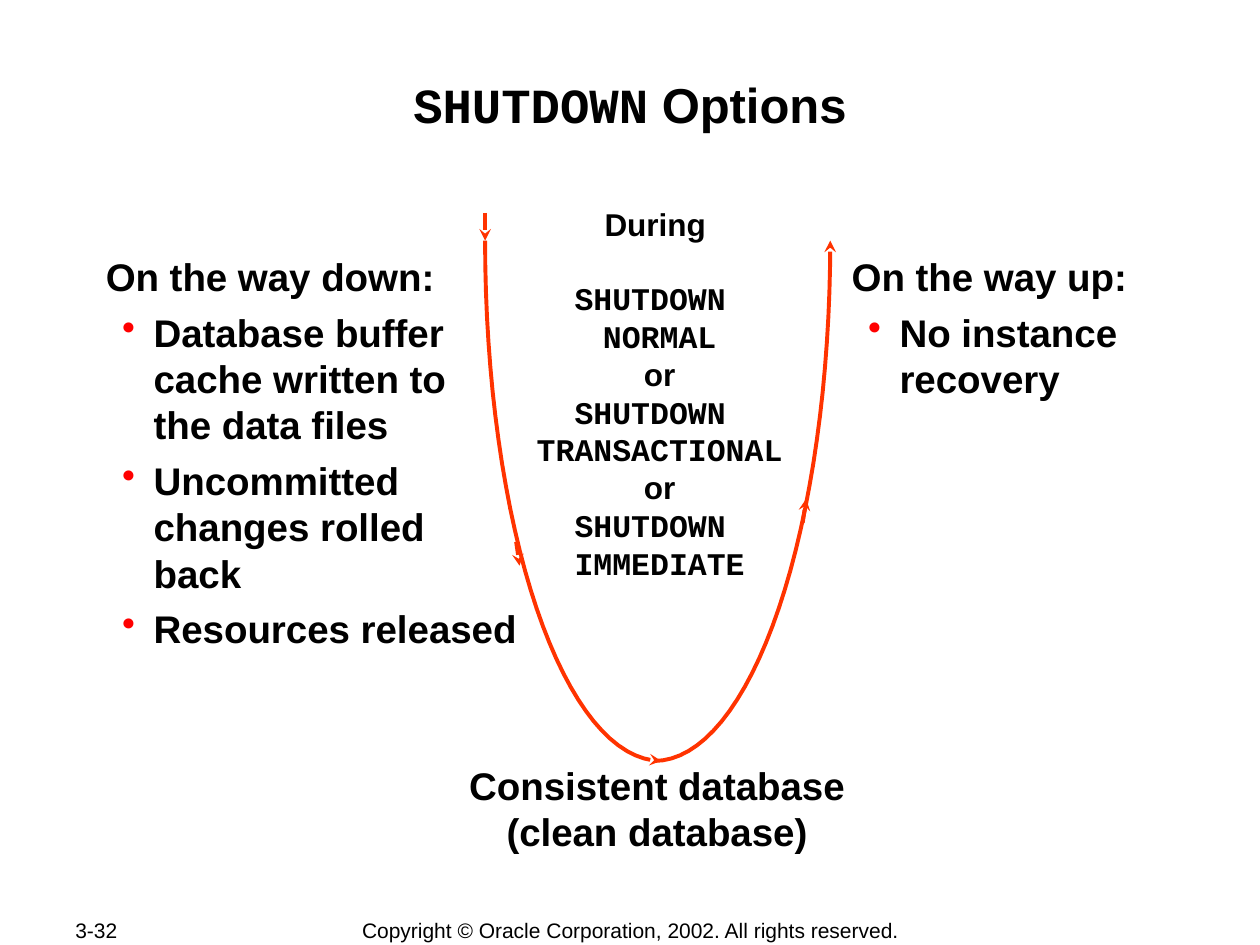
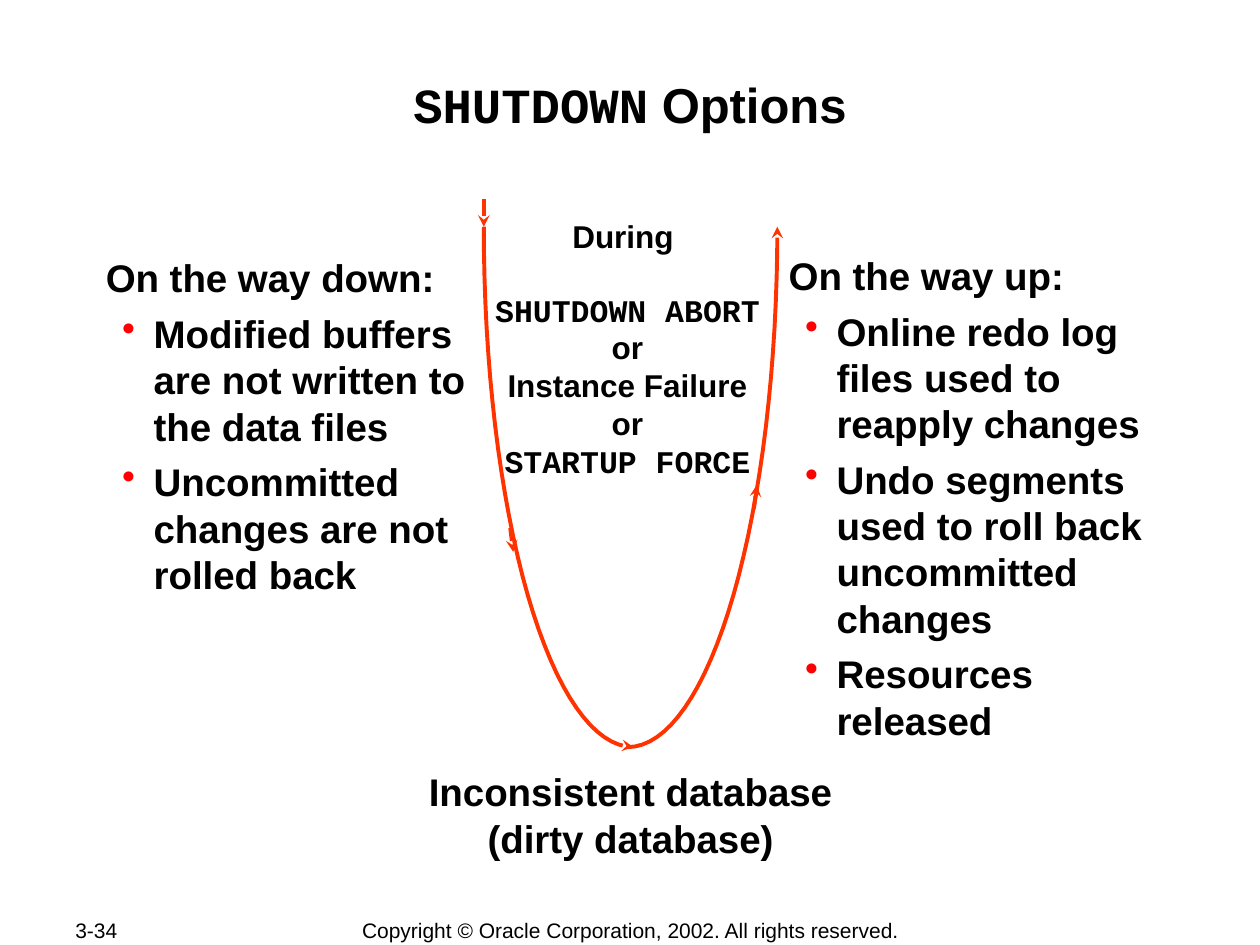
from collections import namedtuple
from dataclasses import dataclass
from math import cos, pi, sin

from lxml import etree
from pptx import Presentation
from pptx.dml.color import RGBColor
from pptx.enum.shapes import MSO_CONNECTOR
from pptx.enum.text import MSO_ANCHOR, MSO_AUTO_SIZE, PP_ALIGN
from pptx.oxml.ns import qn
from pptx.util import Inches, Pt

LEFT, CENTER = PP_ALIGN.LEFT, PP_ALIGN.CENTER
TOP, MIDDLE = MSO_ANCHOR.TOP, MSO_ANCHOR.MIDDLE
STRAIGHT = MSO_CONNECTOR.STRAIGHT
NO_FIT = MSO_AUTO_SIZE.NONE
TITLE_ONLY = 5
CURVE_STEPS = 32

Box = namedtuple("Box", "left top width height")


@dataclass(frozen=True)
class Theme:
    """Fonts, colours and sizes shared by the slides."""

    sans: str = "Arial"
    mono: str = "Courier New"
    ink: RGBColor = RGBColor(0, 0, 0)
    bullet: str = "FF0000"
    curve: RGBColor = RGBColor(0xFF, 0x33, 0x00)
    title_size: float = 28
    body_size: float = 22
    command_size: float = 18
    footer_size: float = 12
    body_gap: float = 5.5
    command_gap: float = 20.7
    curve_width: float = 2.25


THEME = Theme()
TITLE_BOX = Box(1, 0.58, 8, 0.96)
NUMBER_BOX = Box(0.5, 7.28, 1.06, 0.2)
COPYRIGHT_BOX = Box(2.76, 7.28, 4.49, 0.21)
COPYRIGHT = "Copyright © Oracle Corporation, 2002. All rights reserved."

SLIDES = [
    {
        "number": "3-32",
        "down": (Box(0.83, 2, 3.56, 3.19), [
            "Database buffer cache written to\nthe data files",
            "Uncommitted changes rolled\nback",
            "Resources released",
        ]),
        "up": (Box(6.75, 2, 3, 1.2), ["No instance recovery"]),
        "curve": Box(3.85, 1.91, 2.74, 4.13),
        "commands": (Box(4.16, 1.58, 2.15, 3.1), [
            "SHUTDOWN ", "NORMAL", "or", "SHUTDOWN ", "TRANSACTIONAL",
            "or", "SHUTDOWN ", "IMMEDIATE",
        ]),
        "outcome": (Box(3.62, 6, 3.19, 0.83),
                    ["Consistent database", "(clean database)"]),
    },
    {
        "number": "3-34",
        "down": (Box(0.83, 2.01, 3.14, 2.75), [
            "Modified buffers\nare not written to the data files",
            "Uncommitted changes are not rolled back",
        ]),
        "up": (Box(6.25, 1.99, 3, 3.92), [
            "Online redo log files used to reapply changes",
            "Undo segments used to roll back uncommitted changes",
            "Resources released",
        ]),
        "curve": Box(3.84, 1.8, 2.33, 4.13),
        "commands": (Box(3.83, 1.67, 2.3, 2.2), [
            "SHUTDOWN ABORT", "or", "Instance Failure", "or", "STARTUP FORCE",
        ]),
        "outcome": (Box(3.3, 6.05, 3.41, 0.83),
                    ["Inconsistent database", "(dirty database)"]),
    },
]


def add_text(para, text, size, font=THEME.sans, bold=True):
    """Append formatted text to a paragraph, breaking lines at newlines."""
    for index, line in enumerate(text.split("\n")):
        if index:
            para.add_line_break()
        span = para.add_run()
        span.text = line
        span.font.size = Pt(size)
        span.font.name = font
        span.font.bold = bold
        span.font.color.rgb = THEME.ink


def format_frame(frame, inset=(0.1, 0.05), wrap=True, anchor=TOP):
    """Set the margins, wrapping and anchor of a text frame."""
    frame.margin_left = frame.margin_right = Inches(inset[0])
    frame.margin_top = frame.margin_bottom = Inches(inset[1])
    frame.auto_size = NO_FIT
    frame.word_wrap = wrap
    frame.vertical_anchor = anchor


def add_frame(page, box, **layout):
    """Add a text box and return its text frame."""
    frame = page.shapes.add_textbox(*map(Inches, box)).text_frame
    format_frame(frame, **layout)
    return frame


def next_para(frame, first, align=LEFT):
    """Return the first paragraph or a new one, aligned."""
    para = frame.paragraphs[0] if first else frame.add_paragraph()
    para.alignment = align
    return para


def add_bullet(para):
    """Give a paragraph a hanging red bullet."""
    props = para._p.get_or_add_pPr()
    props.set("marL", str(Inches(0.38)))
    props.set("indent", str(Inches(-0.25)))
    color = etree.SubElement(props, qn("a:buClr"))
    etree.SubElement(color, qn("a:srgbClr"), val=THEME.bullet)
    etree.SubElement(props, qn("a:buChar"), char="•")


def add_title(page, box):
    """Place the two-font title in its placeholder."""
    title = page.shapes.title
    title.left, title.top, title.width, title.height = map(Inches, box)
    format_frame(title.text_frame, inset=(0.01, 0.01))
    para = next_para(title.text_frame, True, CENTER)
    add_text(para, "SHUTDOWN", THEME.title_size, font=THEME.mono)
    add_text(para, " Options", THEME.title_size)


def add_footer(page, number):
    """Add the page number and the copyright line."""
    for box, text, align in ((NUMBER_BOX, number, LEFT),
                             (COPYRIGHT_BOX, COPYRIGHT, CENTER)):
        frame = add_frame(page, box, anchor=MIDDLE, wrap=align == LEFT)
        add_text(next_para(frame, True, align), text, THEME.footer_size, bold=False)


def add_points(page, box, heading, points):
    """Add a heading with bulleted points below it."""
    frame = add_frame(page, box, inset=(0.01, 0.01))
    add_text(next_para(frame, True), heading, THEME.body_size)
    for point in points:
        para = next_para(frame, False)
        para.space_before = Pt(THEME.body_gap)
        add_bullet(para)
        add_text(para, point, THEME.body_size)


def add_commands(page, box, rows):
    """Add the centred list of commands, with commands in the fixed-width font."""
    frame = add_frame(page, box, wrap=False)
    add_text(next_para(frame, True, CENTER), "During ", THEME.command_size)
    for index, row in enumerate(rows):
        para = next_para(frame, False, CENTER)
        if index == 0:
            para.space_before = Pt(THEME.command_gap)
        font = THEME.mono if row.isupper() else THEME.sans
        add_text(para, row, THEME.command_size, font=font)


def add_outcome(page, box, rows):
    """Add the centred caption below the curve."""
    frame = add_frame(page, box, wrap=False)
    for index, row in enumerate(rows):
        add_text(next_para(frame, index == 0, CENTER), row, THEME.body_size)


def style_line(line, arrow_end):
    """Colour a line and put an arrowhead at its headEnd or tailEnd."""
    line.color.rgb = THEME.curve
    line.width = Pt(THEME.curve_width)
    etree.SubElement(line._get_or_add_ln(), qn(arrow_end), type="stealth")


def add_arc(group, center_x, top, radius_x, radius_y, start, stop):
    """Draw a quarter ellipse between two angles, with its arrowhead at the start."""
    angles = [start + (stop - start) * step / CURVE_STEPS
              for step in range(CURVE_STEPS + 1)]
    points = [(Inches(center_x + radius_x * cos(angle)),
               Inches(top + radius_y * sin(angle))) for angle in angles]
    builder = group.shapes.build_freeform(*points[0])
    builder.add_line_segments(points[1:], close=False)
    arc = builder.convert_to_shape()
    arc.shadow.inherit = False
    arc.fill.background()
    style_line(arc.line, "a:headEnd")


def add_curve(page, box):
    """Draw the U-shaped path and its direction arrows."""
    group = page.shapes.add_group_shape()
    radius = 0.51 * box.width
    right = box.left + box.width
    add_arc(group, box.left + radius, box.top, radius, box.height, pi / 2, pi)
    add_arc(group, right - radius, box.top, radius, box.height, 0, pi / 2)
    for start_x, start_y, end_x, end_y in ((0, -0.22, 0, 0),
                                           (0.09, 2.39, 0.1, 2.58),
                                           (0.92, 2.24, 0.93, 2.05)):
        arrow = group.shapes.add_connector(
            STRAIGHT,
            Inches(box.left + start_x * box.width), Inches(box.top + start_y),
            Inches(box.left + end_x * box.width), Inches(box.top + end_y))
        style_line(arrow.line, "a:tailEnd")
        etree.SubElement(arrow._element.spPr, qn("a:effectLst"))


def add_shutdown_slide(deck, content):
    """Add one slide about a kind of shutdown."""
    page = deck.slides.add_slide(deck.slide_layouts[TITLE_ONLY])
    add_footer(page, content["number"])
    add_title(page, TITLE_BOX)
    add_points(page, content["down"][0], "On the way down:", content["down"][1])
    add_points(page, content["up"][0], "On the way up:", content["up"][1])
    add_curve(page, content["curve"])
    add_commands(page, *content["commands"])
    add_outcome(page, *content["outcome"])


def main():
    """Build and save the deck."""
    deck = Presentation()
    deck.slide_width, deck.slide_height = Inches(10), Inches(7.5)
    for content in SLIDES:
        add_shutdown_slide(deck, content)
    deck.save("out.pptx")


if __name__ == "__main__":
    main()
